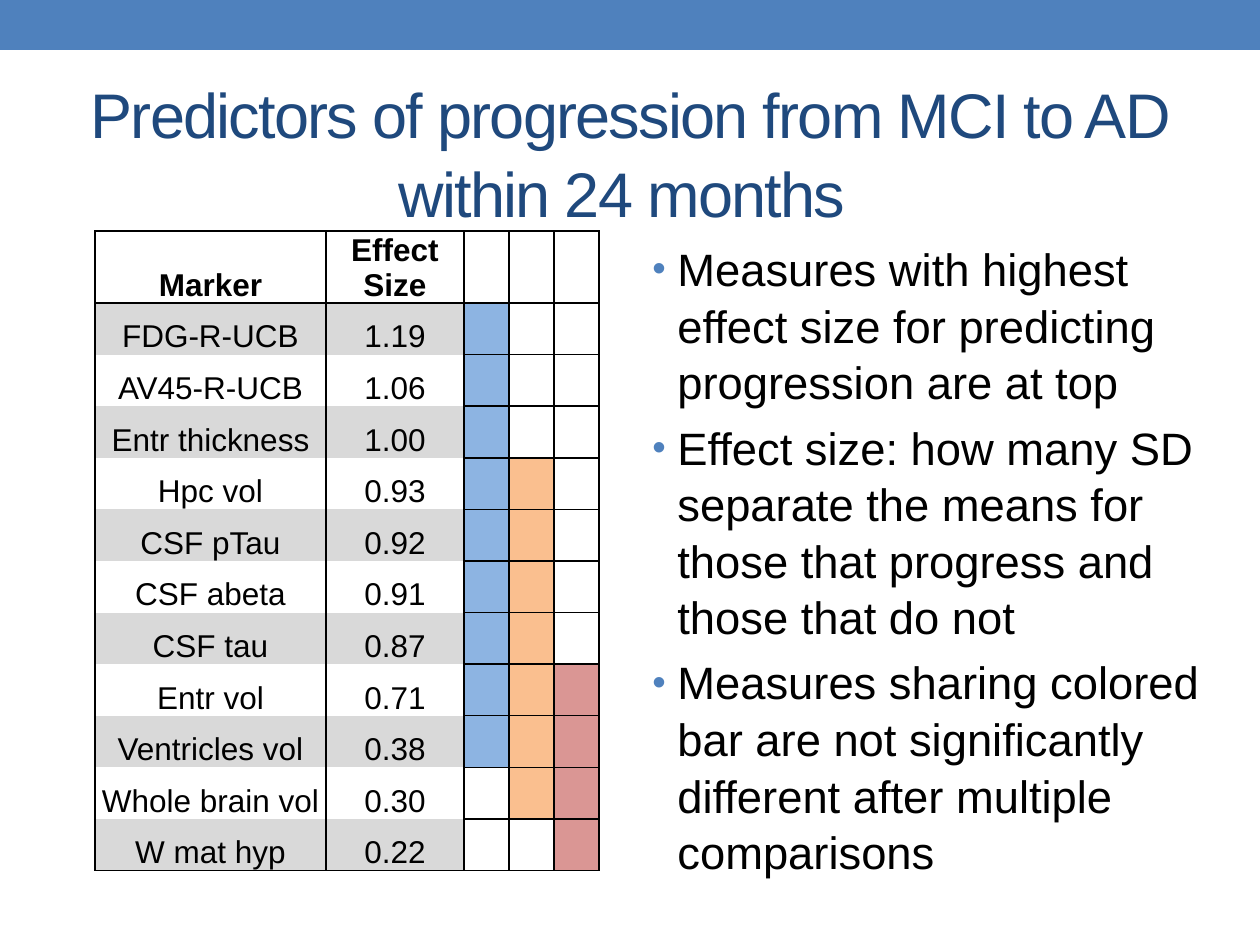
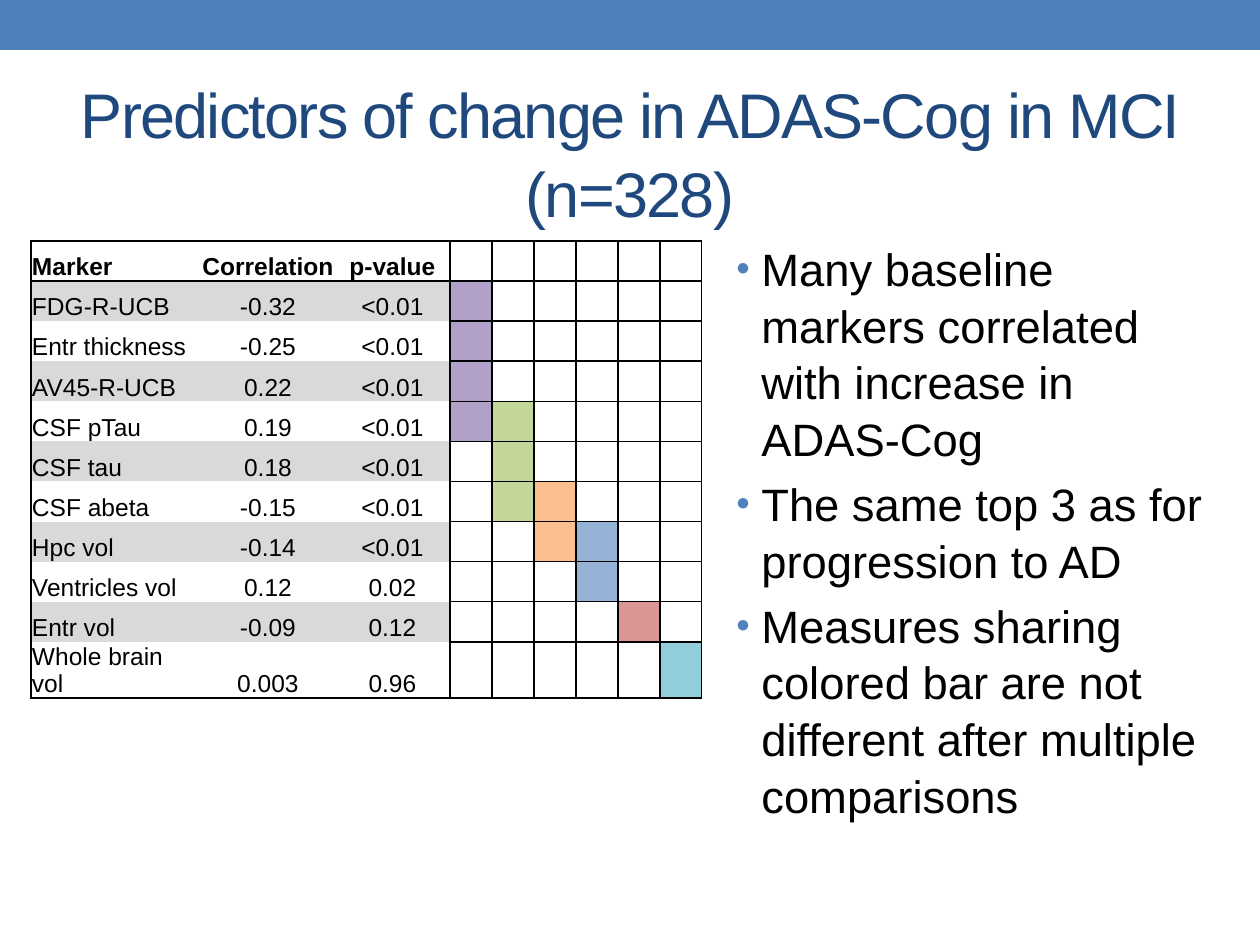
from lxml.etree import SubElement
from pptx import Presentation
from pptx.dml.color import RGBColor
from pptx.enum.shapes import MSO_SHAPE
from pptx.enum.text import MSO_ANCHOR, MSO_AUTO_SIZE, PP_ALIGN
from pptx.oxml.ns import qn
from pptx.util import Emu, Pt

EMU_PER_PX = 914400 / 126
FONT = "Arial"
NO_TABLE_STYLE = "{2D5ABB26-0587-4C30-8999-92F81FD0307C}"

BAND_BLUE = RGBColor(0x4F, 0x81, 0xBD)
TITLE_BLUE = RGBColor(0x1F, 0x49, 0x7D)
BLACK = RGBColor(0x00, 0x00, 0x00)
STRIPE_GRAY = RGBColor(0xD9, 0xD9, 0xD9)
BLUE = RGBColor(0x8D, 0xB4, 0xE2)
STEEL = RGBColor(0x95, 0xB3, 0xD7)
ORANGE = RGBColor(0xFA, 0xBF, 0x8F)
RED = RGBColor(0xDA, 0x96, 0x94)
PURPLE = RGBColor(0xB1, 0xA0, 0xC7)
GREEN = RGBColor(0xC4, 0xD7, 0x9B)
TEAL = RGBColor(0x92, 0xCD, 0xDC)

# Each bar is (colour, first row, last row); row 0 is the header.
SLIDES = [
    {
        "title": "Predictors of progression from MCI to AD within 24 months ",
        "rows": [
            ("Marker", "Effect Size"),
            ("FDG-R-UCB", "1.19"),
            ("AV45-R-UCB", "1.06"),
            ("Entr thickness", "1.00"),
            ("Hpc vol", "0.93"),
            ("CSF pTau", "0.92"),
            ("CSF abeta", "0.91"),
            ("CSF tau", "0.87"),
            ("Entr vol", "0.71"),
            ("Ventricles vol", "0.38"),
            ("Whole brain vol", "0.30"),
            ("W mat hyp", "0.22"),
        ],
        "bars": [(BLUE, 1, 9), (ORANGE, 4, 10), (RED, 8, 11)],
        "table": {
            "left": 95, "top": 231, "height": 640, "tall_row": (0, 72),
            "text_columns": [231, 138], "bar_column": 45, "size": 18,
            "marker_align": PP_ALIGN.CENTER, "column_rules": True,
        },
        "bullets": [
            "Measures with highest effect size for predicting progression are at top",
            "Effect size: how many SD separate the means for those that progress "
            "and those that do not",
            "Measures sharing colored bar are not significantly different after "
            "multiple comparisons",
        ],
        "bullets_left": 640,
        "bullets_width": 577,
    },
    {
        "title": "Predictors of change in ADAS-Cog in MCI (n=328)",
        "rows": [
            ("Marker", "Correlation", "p-value"),
            ("FDG-R-UCB", "-0.32", "<0.01"),
            ("Entr thickness", "-0.25", "<0.01"),
            ("AV45-R-UCB", "0.22", "<0.01"),
            ("CSF pTau", "0.19", "<0.01"),
            ("CSF tau", "0.18", "<0.01"),
            ("CSF abeta", "-0.15", "<0.01"),
            ("Hpc vol", "-0.14", "<0.01"),
            ("Ventricles vol", "0.12", "0.02"),
            ("Entr vol", "-0.09", "0.12"),
            ("Whole brain vol", "0.003", "0.96"),
        ],
        "bars": [(PURPLE, 1, 4), (GREEN, 4, 6), (ORANGE, 6, 7),
                 (STEEL, 7, 8), (RED, 9, 9), (TEAL, 10, 10)],
        "table": {
            "left": 31, "top": 241, "height": 457, "tall_row": (10, 56),
            "text_columns": [170, 134, 115], "bar_column": 42, "size": 14,
            "marker_align": PP_ALIGN.LEFT, "column_rules": False,
        },
        "bullets": [
            "Many baseline markers correlated with increase in ADAS-Cog",
            "The same top 3 as for progression to AD",
            "Measures sharing colored bar are not different after multiple comparisons",
        ],
        "bullets_left": 724,
        "bullets_width": 504,
    },
]


def px(length):
    return Emu(round(length * EMU_PER_PX))


def add_run(paragraph, text, size, color=BLACK, bold=False):
    run = paragraph.add_run()
    run.text = text
    run.font.name = FONT
    run.font.size = Pt(size)
    run.font.bold = bold
    run.font.color.rgb = color
    return run


def add_band(slide):
    band = slide.shapes.add_shape(MSO_SHAPE.RECTANGLE, 0, 0, px(1260), px(50))
    band.shadow.inherit = False
    band.fill.solid()
    band.fill.fore_color.rgb = BAND_BLUE
    band.line.fill.background()


def set_title(slide, text):
    title = slide.shapes.title
    title.left, title.top, title.width, title.height = px(63), px(73), px(1134), px(136)
    frame = title.text_frame
    frame.auto_size = MSO_AUTO_SIZE.NONE
    frame.word_wrap = True
    frame.vertical_anchor = MSO_ANCHOR.TOP
    frame.margin_top = 0
    paragraph = frame.paragraphs[0]
    paragraph.alignment = PP_ALIGN.CENTER
    paragraph.line_spacing = 1.04
    run = add_run(paragraph, text, 36, TITLE_BLUE)
    run.font._element.set("spc", "-100")


def set_borders(cell, sides):
    """Draw a thin black line on the given sides (L, R, T, B) and none elsewhere."""
    properties = cell._tc.get_or_add_tcPr()
    for side in "LRTB":
        line = SubElement(properties, qn(f"a:ln{side}"), w=str(Pt(1)))
        if side in sides:
            fill = SubElement(line, qn("a:solidFill"))
            SubElement(fill, qn("a:srgbClr"), val=str(BLACK))
        else:
            SubElement(line, qn("a:noFill"))


def text_cell_sides(row, column, last_row, last_column, column_rules):
    sides = ""
    if column == 0 or column_rules:
        sides += "L"
    if column == last_column or column_rules:
        sides += "R"
    if row <= 1:
        sides += "T"
    if row in (0, last_row):
        sides += "B"
    return sides


def fill_cell(cell, color):
    if color is None:
        cell.fill.background()
    else:
        cell.fill.solid()
        cell.fill.fore_color.rgb = color


def add_marker_table(slide, rows, bars, layout):
    text_columns = layout["text_columns"]
    widths = text_columns + [layout["bar_column"]] * len(bars)
    tall_row, tall_height = layout["tall_row"]
    row_height = (layout["height"] - tall_height) / (len(rows) - 1)

    frame = slide.shapes.add_table(
        len(rows), len(widths), px(layout["left"]), px(layout["top"]),
        px(sum(widths)), px(layout["height"]))
    table = frame.table
    table._tbl.tblPr.find(qn("a:tableStyleId")).text = NO_TABLE_STYLE
    for column, width in zip(table.columns, widths):
        column.width = px(width)

    for row, texts in enumerate(rows):
        table.rows[row].height = px(tall_height if row == tall_row else row_height)
        stripe = STRIPE_GRAY if row % 2 else None
        for column in range(len(widths)):
            cell = table.cell(row, column)
            cell.margin_left = cell.margin_right = cell.margin_top = px(1)
            cell.margin_bottom = 0
            cell.vertical_anchor = MSO_ANCHOR.BOTTOM
            paragraph = cell.text_frame.paragraphs[0]
            if column < len(texts):
                set_borders(cell, text_cell_sides(
                    row, column, len(rows) - 1, len(texts) - 1, layout["column_rules"]))
                fill_cell(cell, stripe)
                paragraph.alignment = (
                    PP_ALIGN.CENTER if column else layout["marker_align"])
                add_run(paragraph, texts[column], layout["size"], bold=row == 0)
            else:
                color, first, last = bars[column - len(texts)]
                set_borders(cell, "LRTB")
                fill_cell(cell, color if first <= row <= last else None)
                paragraph.font.size = Pt(layout["size"])


def add_bullet(paragraph):
    properties = paragraph._p.get_or_add_pPr()
    properties.set("marL", str(px(25)))
    properties.set("indent", str(px(-25)))
    color = SubElement(properties, qn("a:buClr"))
    SubElement(color, qn("a:srgbClr"), val=str(BAND_BLUE))
    SubElement(properties, qn("a:buSzPct"), val="85000")
    SubElement(properties, qn("a:buFont"), typeface=FONT)
    SubElement(properties, qn("a:buChar"), char="•")


def add_bullets(slide, texts, left, width):
    box = slide.shapes.add_textbox(px(left), px(233), px(width), px(648))
    frame = box.text_frame
    frame.word_wrap = True
    for index, text in enumerate(texts):
        paragraph = frame.add_paragraph() if index else frame.paragraphs[0]
        add_bullet(paragraph)
        paragraph.line_spacing = 1.04
        if index:
            paragraph.space_before = Pt(5)
        add_run(paragraph, text, 25.9)


def main():
    presentation = Presentation()
    presentation.slide_width, presentation.slide_height = px(1260), px(945)
    title_only = presentation.slide_layouts[5]
    for content in SLIDES:
        slide = presentation.slides.add_slide(title_only)
        add_band(slide)
        set_title(slide, content["title"])
        add_marker_table(slide, content["rows"], content["bars"], content["table"])
        add_bullets(slide, content["bullets"],
                    content["bullets_left"], content["bullets_width"])
    presentation.save("out.pptx")


if __name__ == "__main__":
    main()
